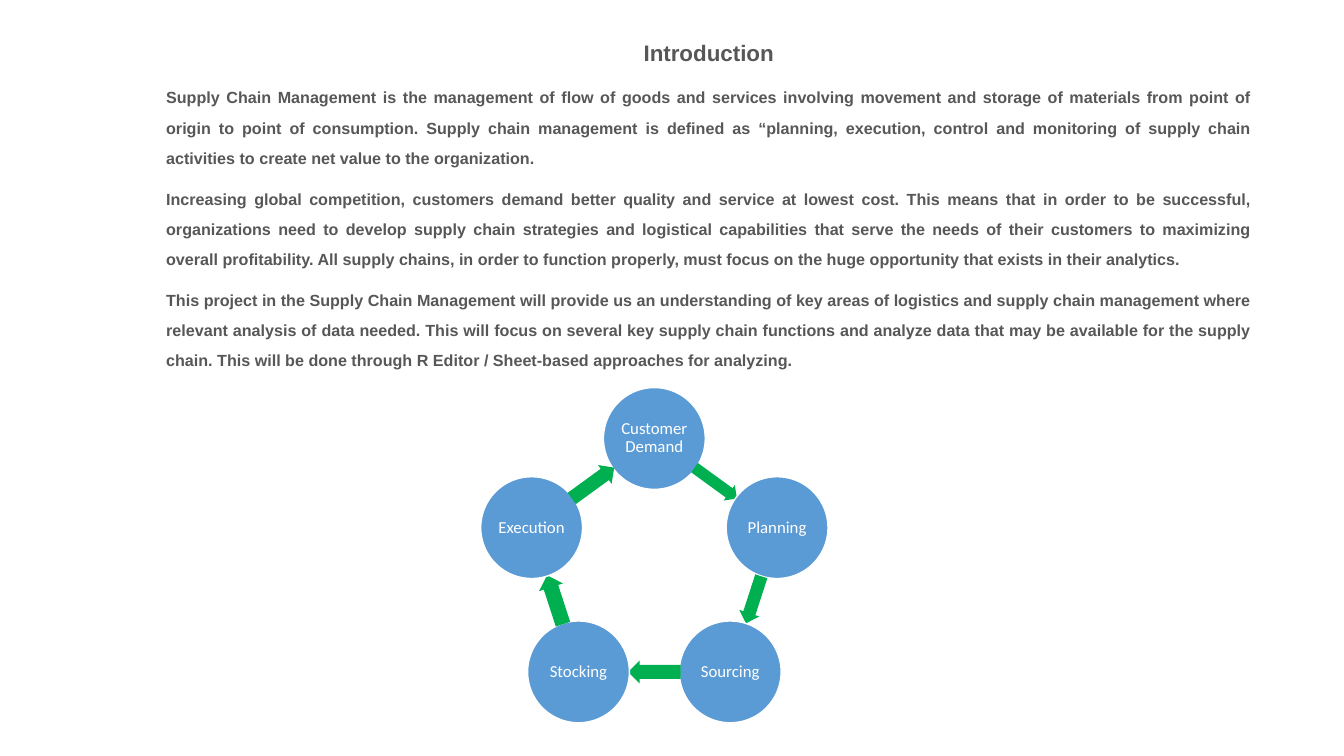
import math
from dataclasses import dataclass

import pptx
import pptx.dml.color
import pptx.enum.shapes
import pptx.enum.text
import pptx.util

Inches = pptx.util.Inches
Pt = pptx.util.Pt
Align = pptx.enum.text.PP_ALIGN
Preset = pptx.enum.shapes.MSO_SHAPE

CYCLE_X, CYCLE_Y = 6.49, 5.63
CYCLE_RADIUS = 1.28
STAGE_SIZE = 1.01
STEP_ANGLE = 72

TITLE = "Introduction"
BODY = [
    "Supply Chain Management is the management of flow of goods and services involving "
    "movement and storage of materials from point of origin to point of consumption. "
    "Supply chain management is defined as “planning, execution, control and monitoring "
    "of supply chain activities to create net value to the organization.",
    "Increasing global competition, customers demand better quality and service at lowest "
    "cost. This means that in order to be successful, organizations need to develop supply "
    "chain strategies and logistical capabilities that serve the needs of their customers to "
    "maximizing overall profitability. All supply chains, in order to function properly, must "
    "focus on the huge opportunity that exists in their analytics.",
    "This project in the Supply Chain Management will provide us an understanding of key "
    "areas of logistics and supply chain management where relevant analysis of data needed. "
    "This will focus on several key supply chain functions and analyze data that may be "
    "available for the supply chain. This will be done through R Editor / Sheet-based "
    "approaches for analyzing.",
]


@dataclass
class Stage:
    label: str
    arrow_length: float
    arrow_height: float


STAGES = [
    Stage("Customer Demand", 0.52, 0.19),
    Stage("Planning", 0.49, 0.21),
    Stage("Sourcing", 0.52, 0.23),
    Stage("Stocking", 0.51, 0.25),
    Stage("Execution", 0.52, 0.23),
]


def rgb(value: str) -> pptx.dml.color.RGBColor:
    return pptx.dml.color.RGBColor.from_string(value)


def write(paragraph, text: str, *, size: float, font: str, color: str, spacing,
          bold: bool = False, align=Align.CENTER, after: float = 0) -> None:
    paragraph.alignment = align
    paragraph.line_spacing = spacing
    paragraph.space_after = Pt(after)
    run = paragraph.add_run()
    run.text = text
    run.font.size = Pt(size)
    run.font.name = font
    run.font.bold = bold
    run.font.color.rgb = rgb(color)


def add_centered(slide, preset, x: float, y: float, width: float, height: float, fill: str):
    shape = slide.shapes.add_shape(preset, Inches(x - width / 2), Inches(y - height / 2),
                                   Inches(width), Inches(height))
    shape.shadow.inherit = False
    shape.fill.solid()
    shape.fill.fore_color.rgb = rgb(fill)
    return shape


def on_cycle(angle: float, radius: float) -> tuple[float, float]:
    turn = math.radians(angle)
    return CYCLE_X + radius * math.sin(turn), CYCLE_Y - radius * math.cos(turn)


def draw_introduction(slide) -> None:
    introduction = slide.shapes.add_textbox(Inches(1.55), Inches(0.31), Inches(10.96), Inches(3.52))
    frame = introduction.text_frame
    frame.word_wrap = True
    frame.auto_size = pptx.enum.text.MSO_AUTO_SIZE.SHAPE_TO_FIT_TEXT
    look = dict(font="Arial", color="575757", bold=True, spacing=Pt(21.6), after=7.5)
    write(frame.paragraphs[0], TITLE, size=16, **look)
    for passage in BODY:
        write(frame.add_paragraph(), passage, size=11.5, align=Align.JUSTIFY, **look)


def draw_stage(slide, stage: Stage, angle: float) -> None:
    circle = add_centered(slide, Preset.OVAL, *on_cycle(angle, CYCLE_RADIUS),
                          STAGE_SIZE, STAGE_SIZE, "5B9BD5")
    circle.line.color.rgb = rgb("FFFFFF")
    circle.line.width = Pt(1)
    frame = circle.text_frame
    frame.word_wrap = True
    frame.vertical_anchor = pptx.enum.text.MSO_ANCHOR.MIDDLE
    frame.margin_left = frame.margin_right = Inches(0.02)
    frame.margin_top = frame.margin_bottom = Inches(0.02)
    write(frame.paragraphs[0], stage.label, size=12, font="Calibri", color="FFFFFF", spacing=0.9)


def draw_arrow(slide, stage: Stage, angle: float) -> None:
    half_step = STEP_ANGLE / 2
    radius = CYCLE_RADIUS * math.cos(math.radians(half_step))
    arrow = add_centered(slide, Preset.RIGHT_ARROW, *on_cycle(angle + half_step, radius),
                         stage.arrow_length, stage.arrow_height, "00B050")
    arrow.line.fill.background()
    arrow.adjustments[0] = 0.6
    arrow.adjustments[1] = 0.5
    arrow.rotation = angle + half_step


def main() -> None:
    presentation = pptx.Presentation()
    presentation.slide_width = Inches(13.33)
    presentation.slide_height = Inches(7.5)
    slide = presentation.slides.add_slide(presentation.slide_layouts[6])
    draw_introduction(slide)
    for position, stage in enumerate(STAGES):
        draw_stage(slide, stage, position * STEP_ANGLE)
        draw_arrow(slide, stage, position * STEP_ANGLE)
    presentation.save("out.pptx")


if __name__ == "__main__":
    main()
